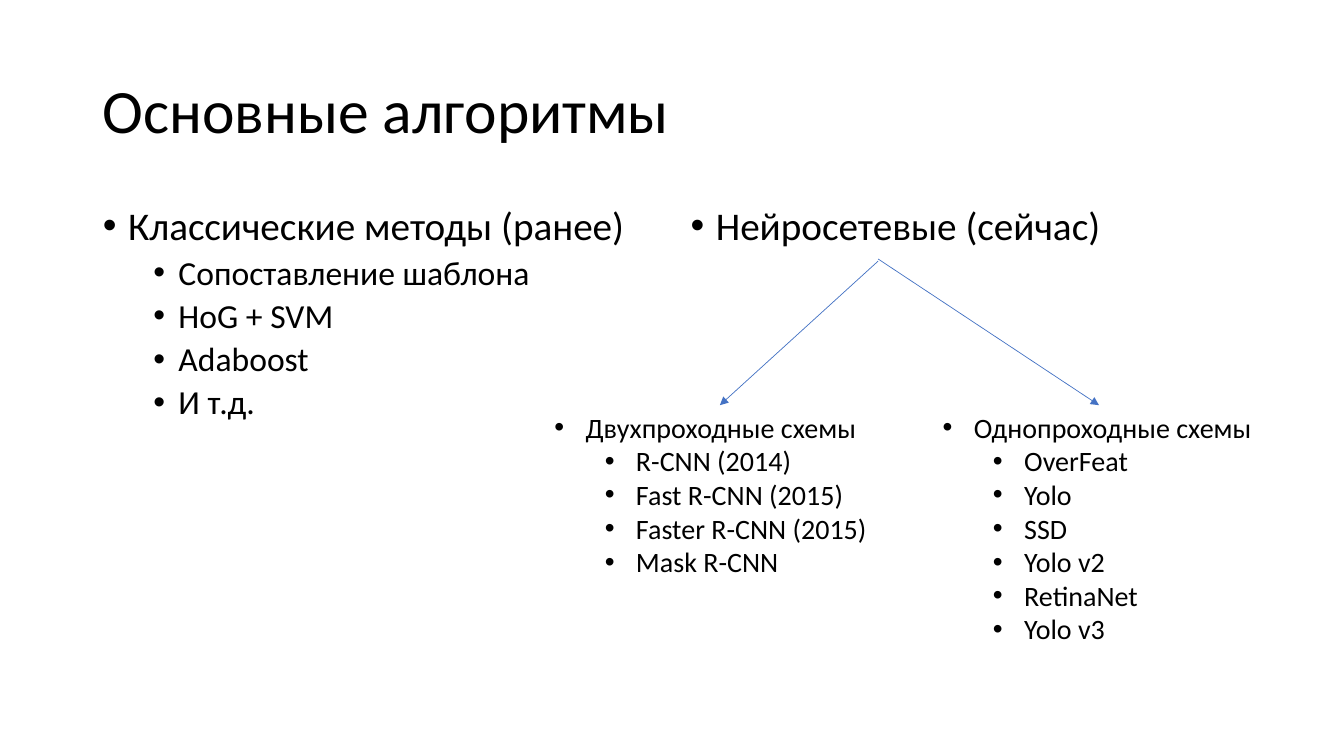
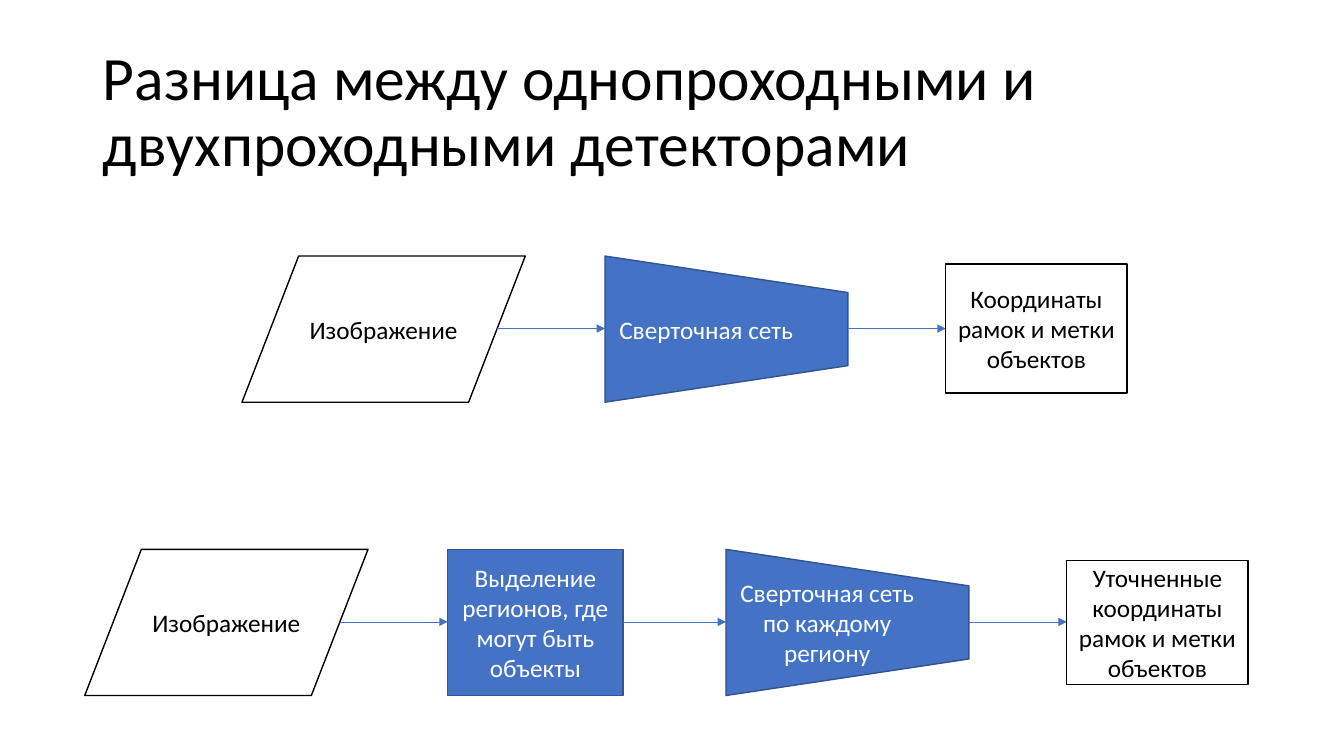
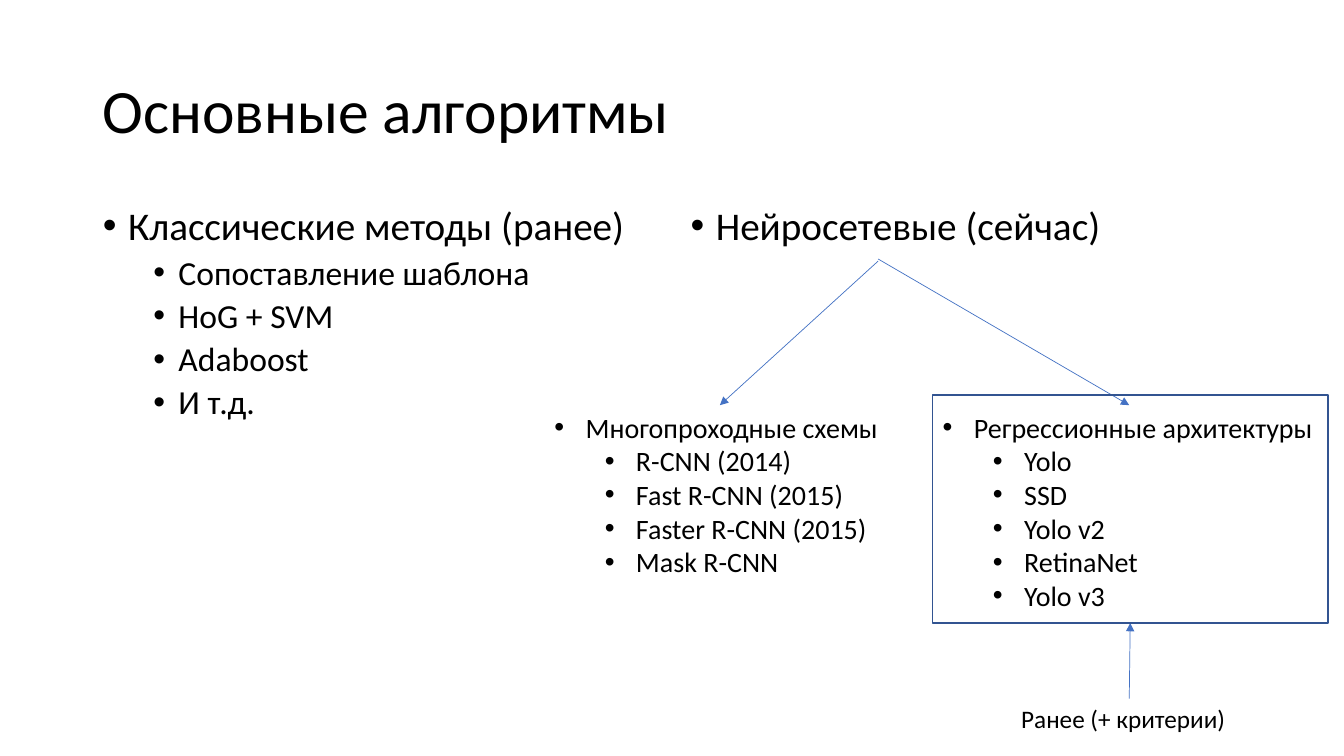
from lxml.etree import SubElement
from pptx import Presentation
from pptx.dml.color import RGBColor
from pptx.enum.shapes import MSO_CONNECTOR, MSO_SHAPE
from pptx.enum.text import MSO_ANCHOR as Anchor, MSO_AUTO_SIZE as AutoSize, PP_ALIGN as Align
from pptx.oxml.ns import qn
from pptx.util import Emu, Pt

COLORS = {"text": "000000", "paper": "FFFFFF", "accent": "4472C4", "edge": "325491"}
FONT = "Calibri"
PX = 9144  # EMU in one px, 100 px to the inch
TWO_CONTENT, TITLE_ONLY = 3, 5


def px(*lengths):
    return [Emu(length * PX) for length in lengths]


def rgb(name):
    return RGBColor.from_string(COLORS[name])


class Deck:
    """Shared style and the slide being built."""

    def __init__(self):
        self.prs = Presentation()
        self.prs.slide_width, self.prs.slide_height = px(1333, 750)
        self.slide = None

    def new_slide(self, layout, title):
        self.slide = self.prs.slides.add_slide(self.prs.slide_layouts[layout])
        frame = self.place(self.slide.shapes.title, (92, 40, 1150, 145), Anchor.MIDDLE)
        self.fill_text(frame.paragraphs[0], title, 44, spacing=0.9)

    def place(self, holder, box, anchor=Anchor.TOP):
        holder.left, holder.top, holder.width, holder.height = px(*box)
        frame = holder.text_frame
        frame.word_wrap, frame.auto_size = True, AutoSize.NONE
        frame.vertical_anchor = anchor
        return frame

    def fill_text(self, paragraph, text, size, color="text", align=Align.LEFT, spacing=1.0, before=0):
        paragraph.text = text
        paragraph.alignment, paragraph.line_spacing = align, spacing
        paragraph.space_before = Pt(before)
        font = paragraph.font
        font.name, font.size, font.color.rgb = FONT, Pt(size), rgb(color)

    def bullets(self, frame, heading, items, sizes, hang, spacing=1.0, before=0):
        """A heading bullet with second-level items below it."""
        for number, text in enumerate([heading, *items]):
            level = min(number, 1)
            paragraph = frame.add_paragraph() if number else frame.paragraphs[0]
            paragraph.level = level
            props = paragraph._p.get_or_add_pPr()
            props.set("marL", str((hang + 50 * level) * PX))
            props.set("indent", str(-hang * PX))
            SubElement(props, qn("a:buFont"), typeface="Arial")
            SubElement(props, qn("a:buChar"), char="•")
            self.fill_text(paragraph, text, sizes[level], spacing=spacing, before=before * level)

    def column(self, idx, left, heading, items=()):
        frame = self.place(self.slide.placeholders[idx], (left, 200, 567, 476))
        self.bullets(frame, heading, items, (28, 24), 25, spacing=0.9, before=5)

    def text_box(self, box, wrap):
        frame = self.slide.shapes.add_textbox(*px(*box)).text_frame
        frame.word_wrap, frame.auto_size = wrap, AutoSize.SHAPE_TO_FIT_TEXT
        return frame

    def branch(self, box, heading, items):
        self.bullets(self.text_box(box, False), heading, items, (20, 20), 31)

    def note(self, box, text):
        self.fill_text(self.text_box(box, True).paragraphs[0], text, 18)

    def shape(self, preset, box, fill=None, line="edge", text=""):
        shape = self.slide.shapes.add_shape(preset, *px(*box))
        shape.shadow.inherit = False
        if fill:
            shape.fill.solid()
            shape.fill.fore_color.rgb = rgb(fill)
        else:
            shape.fill.background()
        shape.line.color.rgb, shape.line.width = rgb(line), Pt(1)
        if text:
            frame = shape.text_frame
            frame.word_wrap, frame.vertical_anchor = True, Anchor.MIDDLE
            color = "paper" if fill == "accent" else "text"
            self.fill_text(frame.paragraphs[0], text, 18, color, Align.CENTER)
        return shape

    def arrow(self, start, end):
        arrow = self.slide.shapes.add_connector(MSO_CONNECTOR.STRAIGHT, *px(*start, *end))
        arrow.line.color.rgb, arrow.line.width = rgb("accent"), Pt(0.5)
        SubElement(arrow.element.spPr.find(qn("a:ln")), qn("a:tailEnd"), type="triangle")
        SubElement(arrow.element.spPr, qn("a:effectLst"))

    # Flow stages: each draws itself from its left edge and returns its right one
    def image(self, left, middle, text):
        self.shape(MSO_SHAPE.FLOWCHART_DATA, (left, middle - 72, 281, 145), "paper", "text", text)
        return left + 253  # middle of the slanted side

    def block(self, left, middle, text, width=174, height=145, fill="accent", line="edge"):
        box = (left, middle - height // 2, width, height)
        self.shape(MSO_SHAPE.RECTANGLE, box, fill, line, text)
        return left + width

    def result(self, left, middle, text, height):
        return self.block(left, middle, text, 180, height, "paper", "text")

    def network(self, left, middle, text):
        """A trapezoid turned to narrow rightwards, with level text."""
        long, short = 241, 145
        box = (left + (long - short) // 2, middle - long // 2, short, long)
        net = self.shape(MSO_SHAPE.TRAPEZOID, box, "accent", text=text)
        net.rotation = 90
        net.element.txBody.bodyPr.set("vert", "vert270")
        return left + long

    def flow(self, left, middle, stages):
        """Stages in a row; each gives its gap before, its method and its arguments."""
        right = left
        for gap, stage, *details in stages:
            if gap:
                self.arrow((right, middle), (right + gap, middle))
            right = stage(right + gap, middle, *details)

    def algorithms(self, first, second, second_box, second_tip):
        """Classical methods beside two families of neural ones."""
        self.new_slide(TWO_CONTENT, "Основные алгоритмы")
        self.column(1, 92, "Классические методы (ранее)",
                    ["Сопоставление шаблона", "HoG + SVM", "Adaboost", "И т.д."])
        self.column(2, 675, "Нейросетевые (сейчас)")
        self.branch((540, 402, 344, 178), first,
                    ["R-CNN (2014)", "Fast R-CNN (2015)", "Faster R-CNN (2015)", "Mask R-CNN"])
        self.branch(second_box, *second)
        self.arrow((871, 259), (714, 402))
        self.arrow((871, 257), (second_tip, 402))


def main():
    deck = Deck()
    single_pass = ["Yolo", "SSD", "Yolo v2", "RetinaNet", "Yolo v3"]

    # Slide 1: families of algorithms
    deck.algorithms("Двухпроходные схемы", ("Однопроходные схемы", ["OverFeat", *single_pass]),
                    (925, 402, 329, 279), 1090)

    # Slide 2: one pass above, two passes below
    deck.new_slide(TITLE_ONLY, "Разница между однопроходными и двухпроходными детекторами")
    deck.flow(240, 326, [
        (0, deck.image, "Изображение"),
        (107, deck.network, "Сверточная сеть"),
        (97, deck.result, "Координаты рамок и метки объектов", 128),
    ])
    deck.flow(84, 617, [
        (0, deck.image, "Изображение"),
        (107, deck.block, "Выделение регионов, где могут быть объекты"),
        (102, deck.network, "Сверточная сеть по каждому региону"),
        (97, deck.result, "Уточненные координаты рамок и метки объектов", 123),
    ])

    # Slide 3: families again, regression ones framed
    deck.algorithms("Многопроходные схемы", ("Регрессионные архитектуры", single_pass),
                    (925, 402, 391, 246), 1120)
    deck.note((1003, 693, 235, 40), "Ранее (+ критерии)")
    deck.arrow((1120, 693), (1121, 618))
    deck.shape(MSO_SHAPE.RECTANGLE, (925, 392, 392, 226))

    deck.prs.save("out.pptx")


if __name__ == "__main__":
    main()
